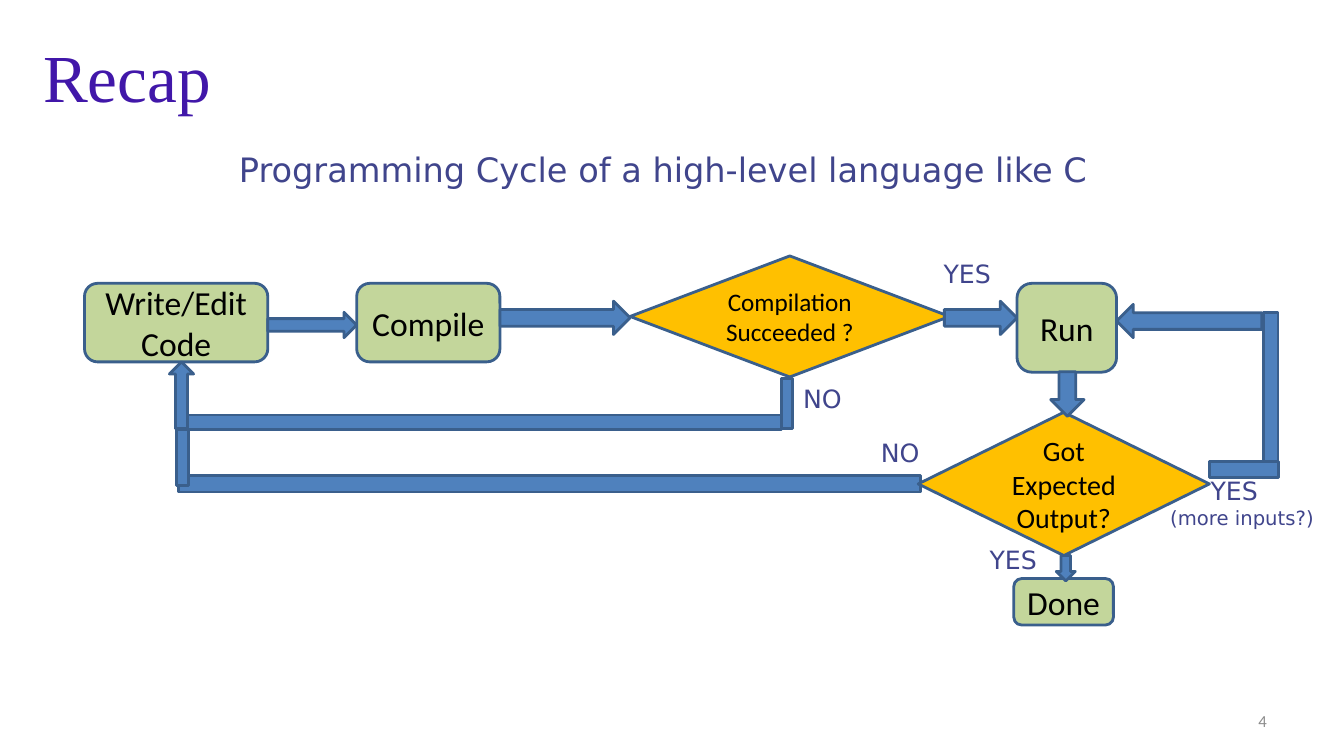
from collections import namedtuple

from pptx import Presentation
from pptx.dml.color import RGBColor
from pptx.enum.shapes import MSO_SHAPE
from pptx.enum.text import MSO_ANCHOR, PP_ALIGN
from pptx.util import Cm, Pt

PURPLE = RGBColor(0x41, 0x17, 0xA9)
INDIGO = RGBColor(0x40, 0x45, 0x8C)
GREEN = RGBColor(0xC3, 0xD6, 0x9B)
AMBER = RGBColor(0xFF, 0xC0, 0x00)
BLUE = RGBColor(0x4F, 0x81, 0xBD)
OUTLINE = RGBColor(0x3A, 0x5F, 0x8C)
BLACK = RGBColor(0x00, 0x00, 0x00)
GREY = RGBColor(0x8C, 0x8C, 0x8C)

BAR = MSO_SHAPE.RECTANGLE
STEP = MSO_SHAPE.ROUNDED_RECTANGLE
DECISION = MSO_SHAPE.DIAMOND
RIGHT_ARROW = MSO_SHAPE.RIGHT_ARROW
LEFT_ARROW = MSO_SHAPE.LEFT_ARROW
UP_ARROW = MSO_SHAPE.UP_ARROW
DOWN_ARROW = MSO_SHAPE.DOWN_ARROW
LEFT, CENTER, RIGHT = PP_ALIGN.LEFT, PP_ALIGN.CENTER, PP_ALIGN.RIGHT
TOP, MIDDLE = MSO_ANCHOR.TOP, MSO_ANCHOR.MIDDLE


class Box(namedtuple("Box", "left top width height")):
    """A rectangle in centimetres."""

    @property
    def right(self):
        return self.left + self.width

    @property
    def bottom(self):
        return self.top + self.height

    def inner(self, x, y, width, height):
        """Box whose offset is counted from this box's top left corner."""
        return Box(self.left + x, self.top + y, width, height)

    def lengths(self):
        return [Cm(value) for value in self]


def write(frame, text, font="DejaVu Sans", size=18, color=INDIGO,
          align=LEFT, anchor=TOP, wrap=False):
    frame.word_wrap = wrap
    frame.vertical_anchor = anchor
    for index, line in enumerate(text.split("\n")):
        para = frame.paragraphs[0] if index == 0 else frame.add_paragraph()
        para.alignment = align
        span = para.add_run()
        span.text = line
        span.font.name = font
        span.font.size = Pt(size)
        span.font.color.rgb = color


def add_label(page, box, text, **style):
    frame = page.shapes.add_textbox(*box.lengths()).text_frame
    write(frame, text, **style)
    return frame


def add_figure(page, kind, box, fill=BLUE):
    figure = page.shapes.add_shape(kind, *box.lengths())
    figure.shadow.inherit = False
    figure.fill.solid()
    figure.fill.fore_color.rgb = fill
    figure.line.color.rgb = OUTLINE
    figure.line.width = Pt(2)
    return figure


def add_node(page, kind, box, text, size=24):
    fill = AMBER if kind == DECISION else GREEN
    figure = add_figure(page, kind, box, fill)
    write(figure.text_frame, text, font="Calibri", size=size, color=BLACK,
          align=CENTER, anchor=MIDDLE, wrap=True)


def add_heading(page, box):
    add_label(page, box.inner(0, 0, box.width, 2.11), "Recap",
              font="Times New Roman", size=48, color=PURPLE,
              anchor=MIDDLE, wrap=True)
    add_label(page, box.inner(4.93, 2.79, 22.3, 1.27),
              "Programming Cycle of a high-level language like C", size=24)


def add_build_row(page, box):
    """Steps from writing the code to running it."""
    edit = box.inner(0, 0.69, 4.62, 1.98)
    build = box.inner(6.86, 0.69, 3.61, 1.98)
    check = box.inner(13.75, 0, 8.05, box.height)
    run = box.inner(23.5, 0.69, 2.51, 2.24)
    add_node(page, STEP, edit, "Write/Edit\nCode")
    add_node(page, STEP, build, "Compile")
    add_node(page, DECISION, check, "Compilation Succeeded ?", size=18)
    add_node(page, STEP, run, "Run")
    for start, end, top, height in (
            (edit.right, build.left, 1.42, 0.64),
            (build.right, check.left, 1.14, 0.84),
            (check.right - 0.13, run.left, 1.14, 0.84)):
        arrow = Box(start, box.top + top, end - start, height)
        add_figure(page, RIGHT_ARROW, arrow)
    add_label(page, box.inner(21.4, -0.07, 1.75, 1.02), "YES")


def add_output_check(page, box):
    """Arrow from the run, the test of its output, and the end."""
    check = box.inner(0, 1.02, box.width, 3.61)
    add_node(page, DECISION, check, "Got Expected Output?", size=20)
    done = box.inner(2.41, 5.21, 2.51, 1.17)
    add_node(page, STEP, done, "Done")
    add_figure(page, DOWN_ARROW, box.inner(3.34, 0, 0.84, 1.12))
    add_figure(page, DOWN_ARROW,
               Box(box.left + 3.48, check.bottom, 0.48, 0.64))
    add_label(page, box.inner(1.55, 4.22, 1.75, 1.02), "YES")


def add_edit_loops(page, box):
    """Both NO paths back to the editing step."""
    add_figure(page, BAR, box.inner(15.42, 0.41, 0.28, 1.27))
    add_figure(page, BAR, box.inner(0.38, 1.34, 15.04, 0.36))
    add_figure(page, UP_ARROW, box.inner(0, 0, 0.61, 1.68))
    add_figure(page, BAR, Box(box.left + 0.23, box.bottom - 0.41,
                              box.width - 0.23, 0.41))
    add_figure(page, BAR, box.inner(0.18, 1.7, 0.3, 1.42))
    for x, y in ((15.72, 0.41), (17.68, 1.78)):
        add_label(page, box.inner(x, y, 1.5, 1.02), "NO")


def add_input_loop(page, box):
    """Path back to the run for more inputs."""
    add_figure(page, BAR, Box(box.left + 2.34, box.bottom - 0.41, 1.75, 0.41))
    add_figure(page, BAR, Box(box.right - 0.38, box.top + 0.2,
                              0.36, box.height - 0.61))
    add_figure(page, LEFT_ARROW, box.inner(0, 0, 3.66, 0.84))
    frame = add_label(page, Box(box.left + 1.1, box.bottom - 0.18, 4.24, 1.63),
                      "YES\n(more inputs?)")
    answer, note = frame.paragraphs
    answer._p.get_or_add_pPr().set("marL", str(Cm(1.02)))
    note.runs[0].font.size = Pt(14)


def add_page_number(page, box):
    add_label(page, box, "4", font="Calibri", size=12, color=GREY,
              align=RIGHT, anchor=MIDDLE, wrap=True)


def main():
    deck = Presentation()
    deck.slide_width, deck.slide_height = Cm(33.87), Cm(19.05)
    blank_layout = deck.slide_layouts[6]
    page = deck.slides.add_slide(blank_layout)
    add_heading(page, Box(0.84, 0.84, 30.48, 4.06))
    add_build_row(page, Box(2.13, 6.45, 26.01, 3.05))
    add_edit_loops(page, Box(4.27, 9.12, 18.92, 3.28))
    add_output_check(page, Box(23.14, 9.37, 7.34, 6.38))
    add_input_loop(page, Box(28.14, 7.67, 4.09, 4.37))
    add_page_number(page, Box(24.28, 17.65, 7.9, 1.02))
    deck.save("out.pptx")


if __name__ == "__main__":
    main()
